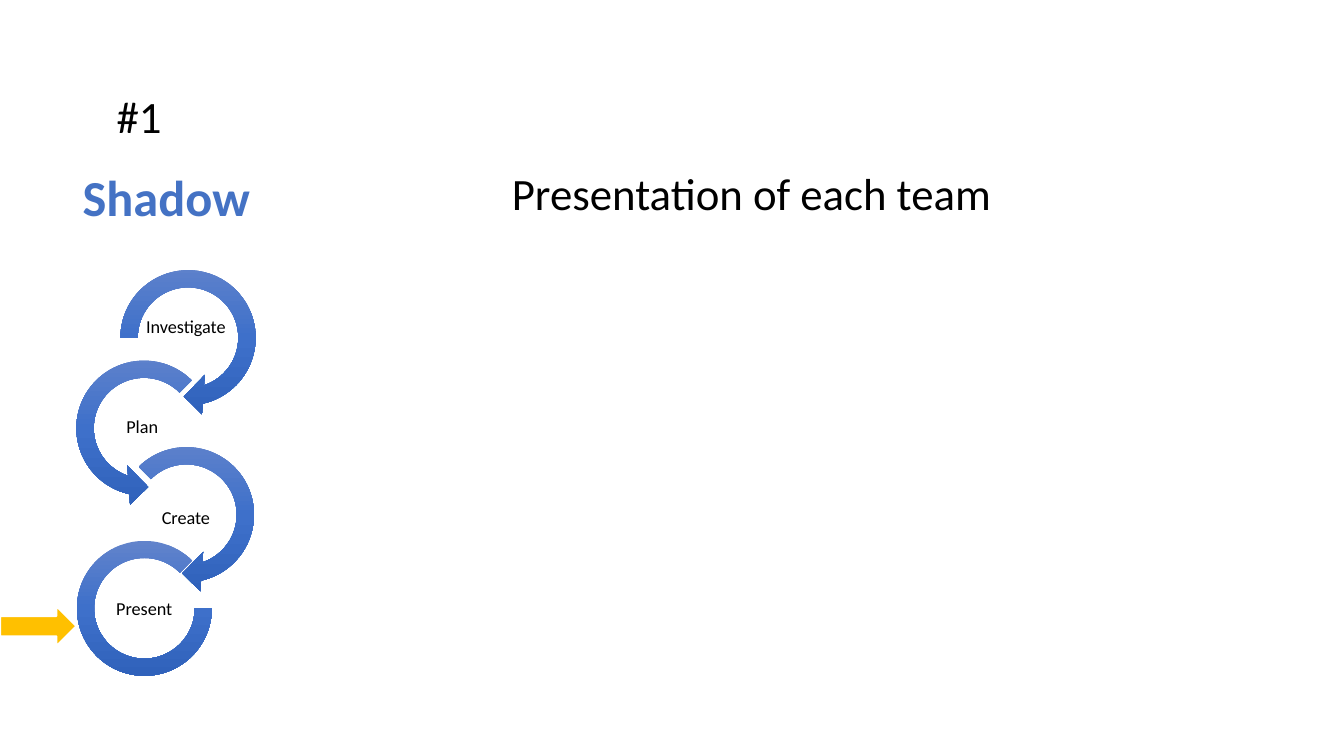
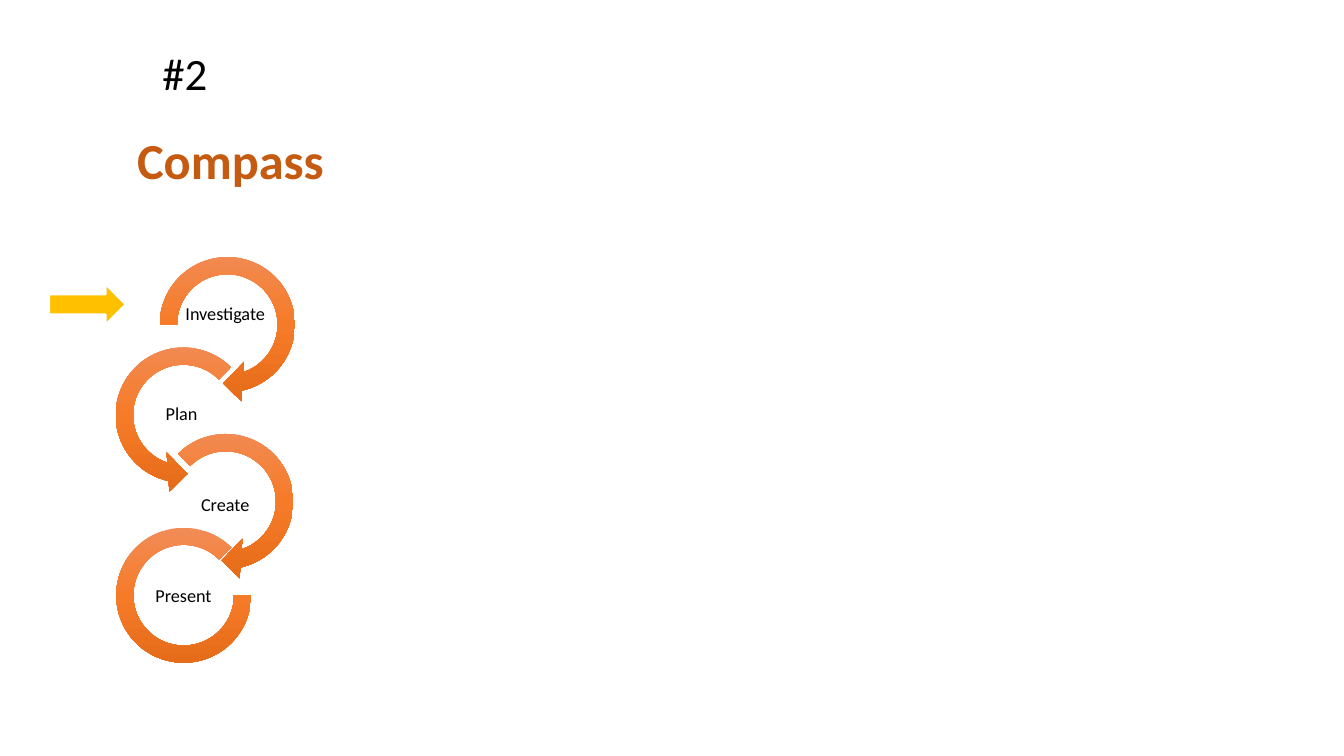
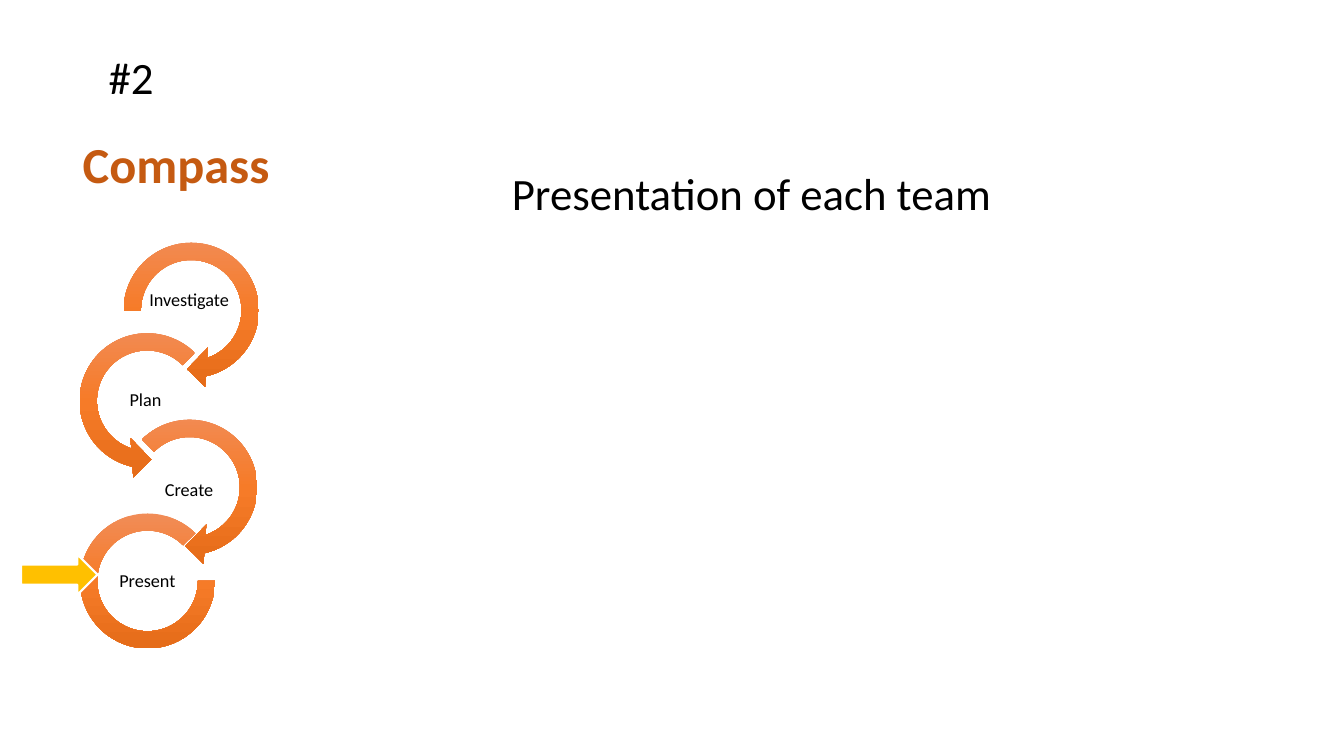
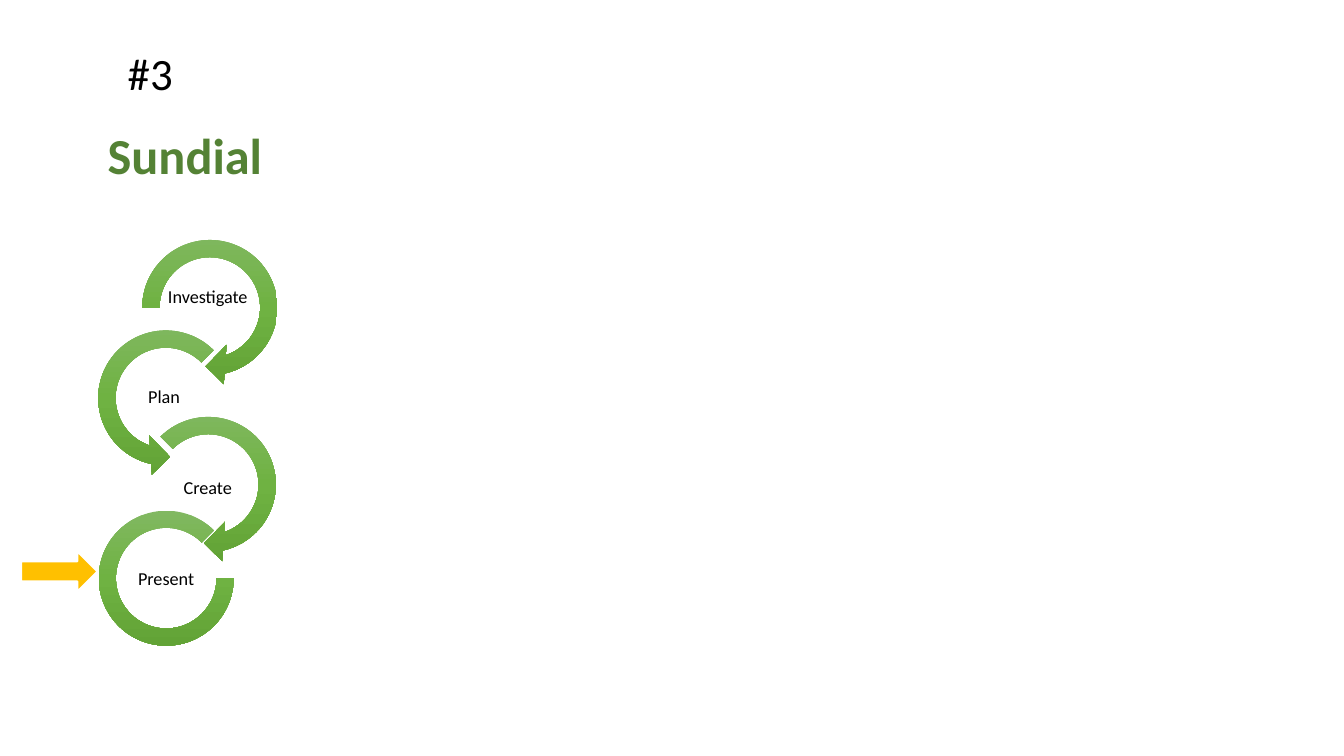
from copy import deepcopy
from dataclasses import dataclass

from pptx import Presentation
from pptx.dml.color import RGBColor
from pptx.enum import shapes, text
from pptx.oxml.ns import qn
from pptx.util import Cm, Pt

FONT = "Calibri"
COLORS = {
    "ink": "000000",
    "marker": "FFC000",
    "marker_edge": "FFFFFF",
    "blue": "4472C4",
    "orange": "C55A11",
    "green": "548235",
}
# Gradient of the rings, top to bottom
RING_COLORS = {
    "blue": ("6183CB", "3E70CA", "3062BB"),
    "orange": ("F18C57", "F67B28", "E56C19"),
    "green": ("81B861", "6FB242", "62A336"),
}

# Steps of the spiral: label and its offset, ring shape, offset, size, adjustments
KIND = shapes.MSO_SHAPE
STEPS = (
    ("Investigate", (1.93, 1.19), KIND.CIRCULAR_ARROW, (1.11, 0), 3.96,
     (0.11, 11.42, 45, 108, 0.125)),
    ("Plan", (0.83, 3.71), KIND.LEFT_CIRCULAR_ARROW, (0, 2.28), 3.96,
     (0.11, 11.42, 63, 189, 0.125)),
    ("Create", (1.93, 5.99), KIND.CIRCULAR_ARROW, (1.07, 4.46), 3.96,
     (0.11, 11.42, 45, 135, 0.125)),
    ("Present", (0.88, 8.28), KIND.BLOCK_ARC, (0.29, 7.1), 3.4,
     (0, 189, 0.127)),
)
LABEL_SIZE = (2.21, 1.09)


@dataclass
class Challenge:
    """One slide; positions are left and top in centimetres."""
    number: str
    name: str
    color: str
    number_at: tuple
    name_at: tuple
    spiral_at: tuple
    marker_at: tuple
    caption: str = ""


CHALLENGES = (
    Challenge("#1", "Shadow", "blue", (2.69, 2.11), (1.83, 4.06),
              (1.65, 6.53), (0, 15.27), "Presentation of each team"),
    Challenge("#2", "Compass", "orange", (3.84, 1.02), (3.2, 3.12),
              (2.64, 6.2), (1.24, 7.16)),
    Challenge("#2", "Compass", "orange", (2.49, 1.12), (1.83, 3.23),
              (1.73, 5.84), (0.53, 13.97), "Presentation of each team"),
    Challenge("#3", "Sundial", "green", (2.97, 1.02), (2.46, 3),
              (2.2, 5.77), (0.53, 13.89)),
)


def rgb(name):
    return RGBColor.from_string(COLORS[name])


def write(box, words, size, color="ink", bold=False, align=text.PP_ALIGN.LEFT):
    """Put one formatted line of text in a box."""
    frame = box.text_frame
    frame.text = words
    frame.word_wrap = True
    frame.vertical_anchor = text.MSO_ANCHOR.TOP
    para = frame.paragraphs[0]
    para.alignment = align
    font = para.runs[0].font
    font.name, font.size, font.bold = FONT, Pt(size), bold
    font.color.rgb = rgb(color)
    return frame


def add_line_of_text(page, words, at, width):
    box = page.shapes.add_textbox(*map(Cm, (*at, width, 1.63)))
    write(box, words, 32).auto_size = text.MSO_AUTO_SIZE.SHAPE_TO_FIT_TEXT


def set_title(page, words, at, color):
    title = page.shapes.title
    title.left, title.top, title.width, title.height = map(Cm, (*at, 5.79, 1.8))
    frame = write(title, words, 36, color, bold=True)
    frame.auto_size = text.MSO_AUTO_SIZE.SHAPE_TO_FIT_TEXT


def fill_gradient(shape, colors):
    """Fill a shape with evenly spaced colours from top to bottom."""
    shape.fill.gradient()
    shape.fill.gradient_angle = 270
    stop_list = shape.fill._xPr.find(".//" + qn("a:gsLst"))
    while len(stop_list) < len(colors):
        stop_list.append(deepcopy(stop_list[0]))
    for index, (stop, color) in enumerate(zip(shape.fill.gradient_stops, colors)):
        stop.position = index / (len(colors) - 1)
        stop.color.rgb = RGBColor.from_string(color)


def add_ring(group, kind, left, top, size, adjustments, colors):
    ring = group.shapes.add_shape(kind, *map(Cm, (left, top, size, size)))
    ring.shadow.inherit = False
    ring.line.fill.background()
    for index, value in enumerate(adjustments):
        ring.adjustments[index] = value
    fill_gradient(ring, colors)


def add_label(group, words, left, top):
    box = group.shapes.add_textbox(*map(Cm, (left, top, *LABEL_SIZE)))
    frame = write(box, words, 13, align=text.PP_ALIGN.CENTER)
    frame.vertical_anchor = text.MSO_ANCHOR.MIDDLE
    frame.margin_left = frame.margin_right = Cm(0.03)
    frame.margin_top = frame.margin_bottom = Cm(0.03)
    frame.paragraphs[0].line_spacing = 0.9


def add_spiral(page, at, colors):
    group = page.shapes.add_group_shape()
    left, top = at
    for label, (label_x, label_y), kind, (x, y), size, adjustments in STEPS:
        add_ring(group, kind, left + x, top + y, size, adjustments, colors)
        add_label(group, label, left + label_x, top + label_y)


def add_marker(page, at):
    """Arrow that points at the current step."""
    arrow = page.shapes.add_shape(KIND.RIGHT_ARROW, *map(Cm, (*at, 1.93, 1.02)))
    arrow.shadow.inherit = False
    arrow.fill.solid()
    arrow.fill.fore_color.rgb = rgb("marker")
    arrow.line.color.rgb = rgb("marker_edge")
    arrow.line.width = Pt(1.5)


def add_challenge(deck, challenge):
    page = deck.slides.add_slide(deck.slide_layouts.get_by_name("Title Only"))
    add_spiral(page, challenge.spiral_at, RING_COLORS[challenge.color])
    set_title(page, challenge.name, challenge.name_at, challenge.color)
    add_line_of_text(page, challenge.number, challenge.number_at, 5.79)
    add_marker(page, challenge.marker_at)
    if challenge.caption:
        add_line_of_text(page, challenge.caption, (12.65, 4.06), 15.04)


def main():
    deck = Presentation()
    deck.slide_width, deck.slide_height = Cm(33.87), Cm(19.05)
    for challenge in CHALLENGES:
        add_challenge(deck, challenge)
    deck.save("out.pptx")


if __name__ == "__main__":
    main()
